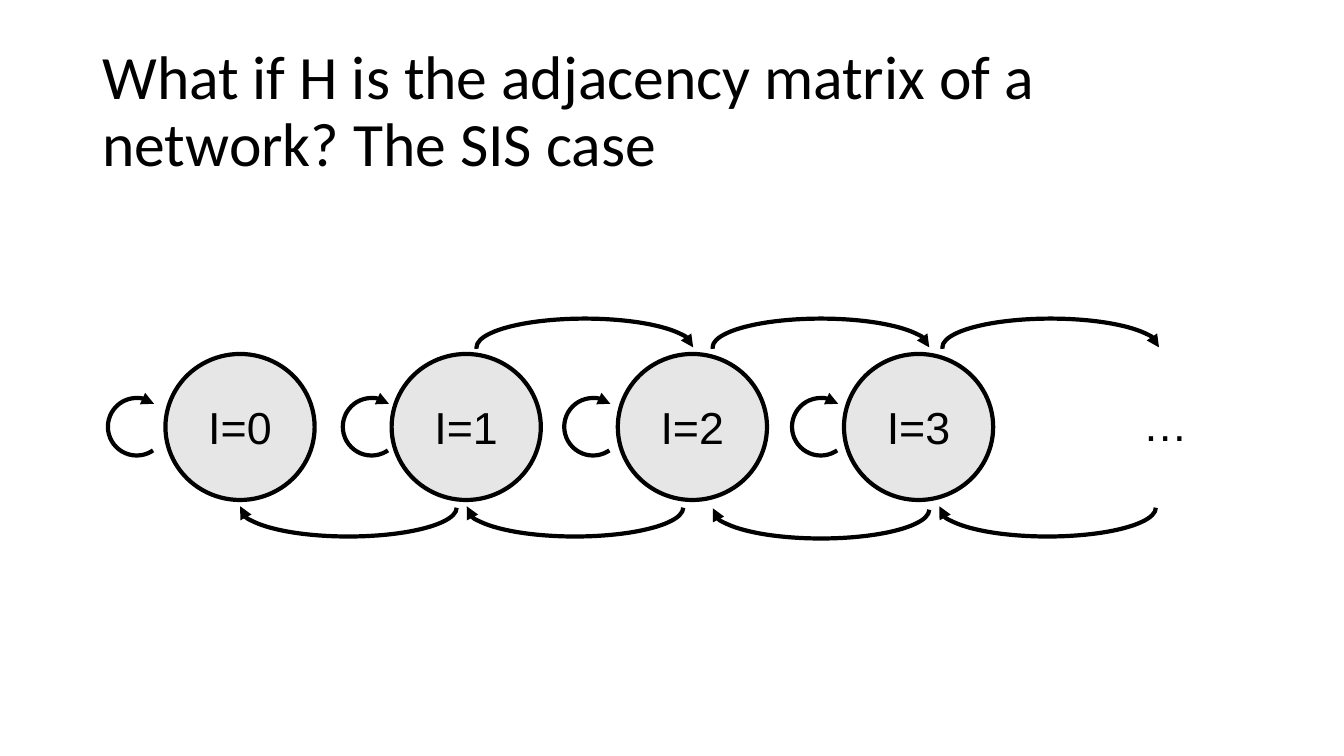
from lxml.etree import SubElement
from pptx import Presentation
from pptx.dml.color import RGBColor
from pptx.enum.shapes import MSO_SHAPE as Shape
from pptx.enum.text import MSO_ANCHOR as Anchor, PP_ALIGN as Align
from pptx.oxml.ns import qn
from pptx.util import Cm, Pt

BLACK, GREY = "000000", "E7E6E6"
PITCH = 5.7
WIDE, LOW = 5.46, 1.45
HALF, LOOP = (107.535, 0), (33.157, 184.256)


def color(code):
    return RGBColor.from_string(code)


def write(shape, text, font, size, anchor=Anchor.TOP, align=Align.LEFT):
    frame = shape.text_frame
    frame.text = text
    frame.word_wrap = True
    frame.vertical_anchor = anchor
    para = frame.paragraphs[0]
    para.alignment = align
    style = para.runs[0].font
    style.name, style.size = font, Pt(size)
    style.color.rgb = color(BLACK)
    return para


def outline(shape):
    shape.shadow.inherit = False
    shape.line.color.rgb = color(BLACK)
    shape.line.width = Pt(3)


def add_title(slide, x, y, w, h):
    box = slide.shapes.add_textbox(Cm(x), Cm(y), Cm(w), Cm(h))
    text = "What if H is the adjacency matrix of a network? The SIS case"
    para = write(box, text, "Calibri", 44, Anchor.MIDDLE)
    para.line_spacing = 0.9


def add_state(slide, x, y, text):
    disc = slide.shapes.add_shape(Shape.OVAL, Cm(x), Cm(y), Cm(3.76), Cm(3.68))
    disc.fill.solid()
    disc.fill.fore_color.rgb = color(GREY)
    outline(disc)
    write(disc, text, "Arial", 32, Anchor.MIDDLE, Align.CENTER)


def add_arc(slide, x, y, w, h, sweep, back=False):
    """Draw a curved arrow; back flips it and points it to the left."""
    arc = slide.shapes.add_shape(Shape.ARC, Cm(x), Cm(y), Cm(w), Cm(h))
    for i, angle in enumerate(sweep):
        arc.adjustments[i] = angle
    arc.fill.background()
    outline(arc)
    if back:
        arc._element.spPr.xfrm.set("flipV", "1")
    tip = "a:headEnd" if back else "a:tailEnd"
    SubElement(arc.line._get_or_add_ln(), qn(tip), type="triangle")


def add_chain(slide, x, y):
    """Place states and transitions relative to the chain's top left corner."""
    for i in range(4):
        add_state(slide, x + 1.45 + i * PITCH, y + 0.89, f"I={i}")
    for dx in (9.29, 15.24, 21.03):
        add_arc(slide, x + dx, y, WIDE, LOW, HALF)
    for dx, dy in ((3.33, 4.04), (9.04, 4.04), (15.24, 4.09), (20.95, 4.04)):
        add_arc(slide, x + dx, y + dy, WIDE, LOW, HALF, back=True)
    for dx in (0, 5.92, 11.5, 17.24):
        add_arc(slide, x + dx, y + 2, LOW, LOW, LOOP)
    dots = slide.shapes.add_textbox(Cm(x + 25.83), Cm(y + 1.83), Cm(1.73), Cm(1.63))
    write(dots, "…", "Arial", 32)


def main():
    deck = Presentation()
    deck.slide_width, deck.slide_height = Cm(33.87), Cm(19.05)
    slide = deck.slides.add_slide(deck.slide_layouts[6])
    add_title(slide, 2.33, 1.01, 29.21, 3.68)
    add_chain(slide, 2.72, 8.03)
    deck.save("out.pptx")


if __name__ == "__main__":
    main()
